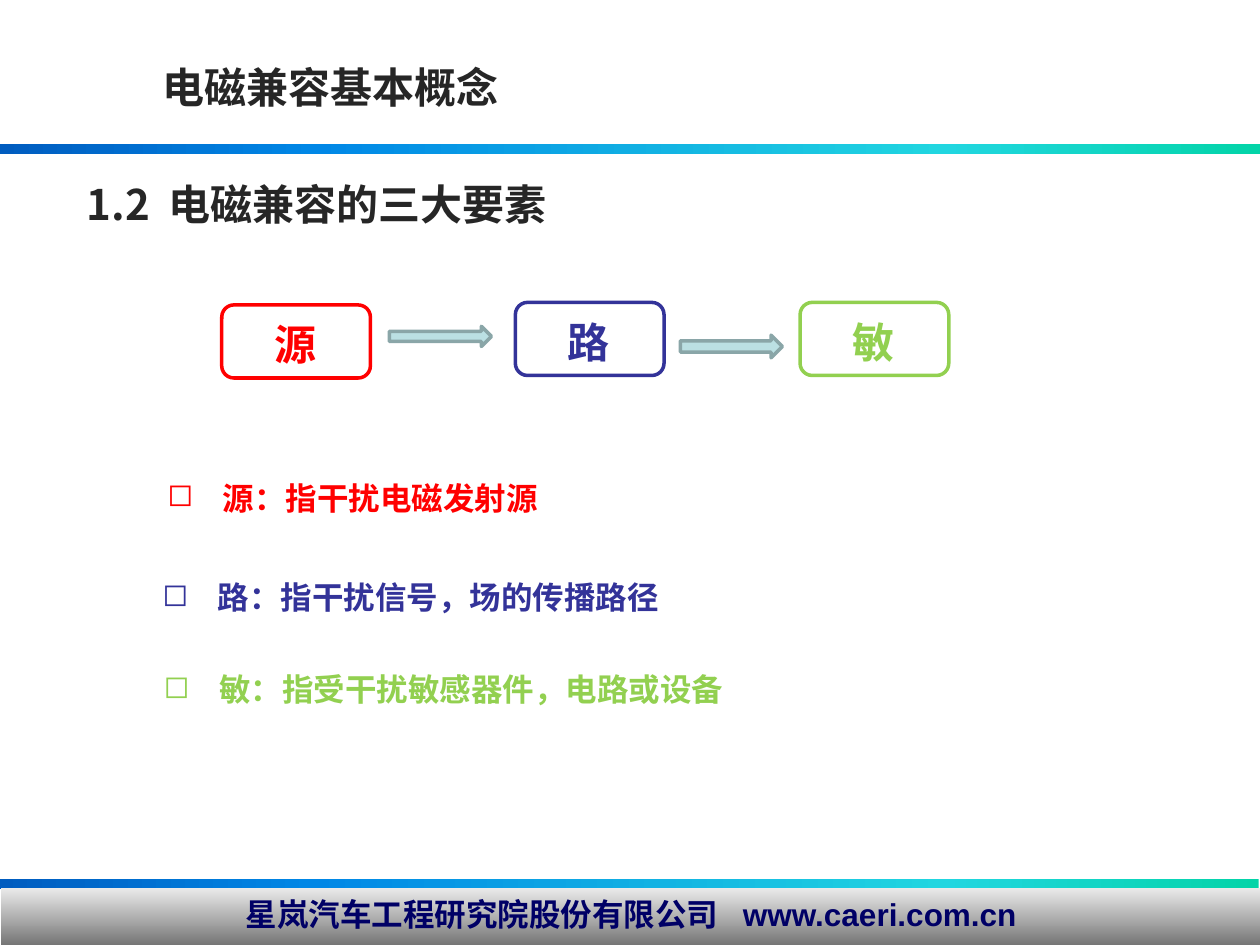
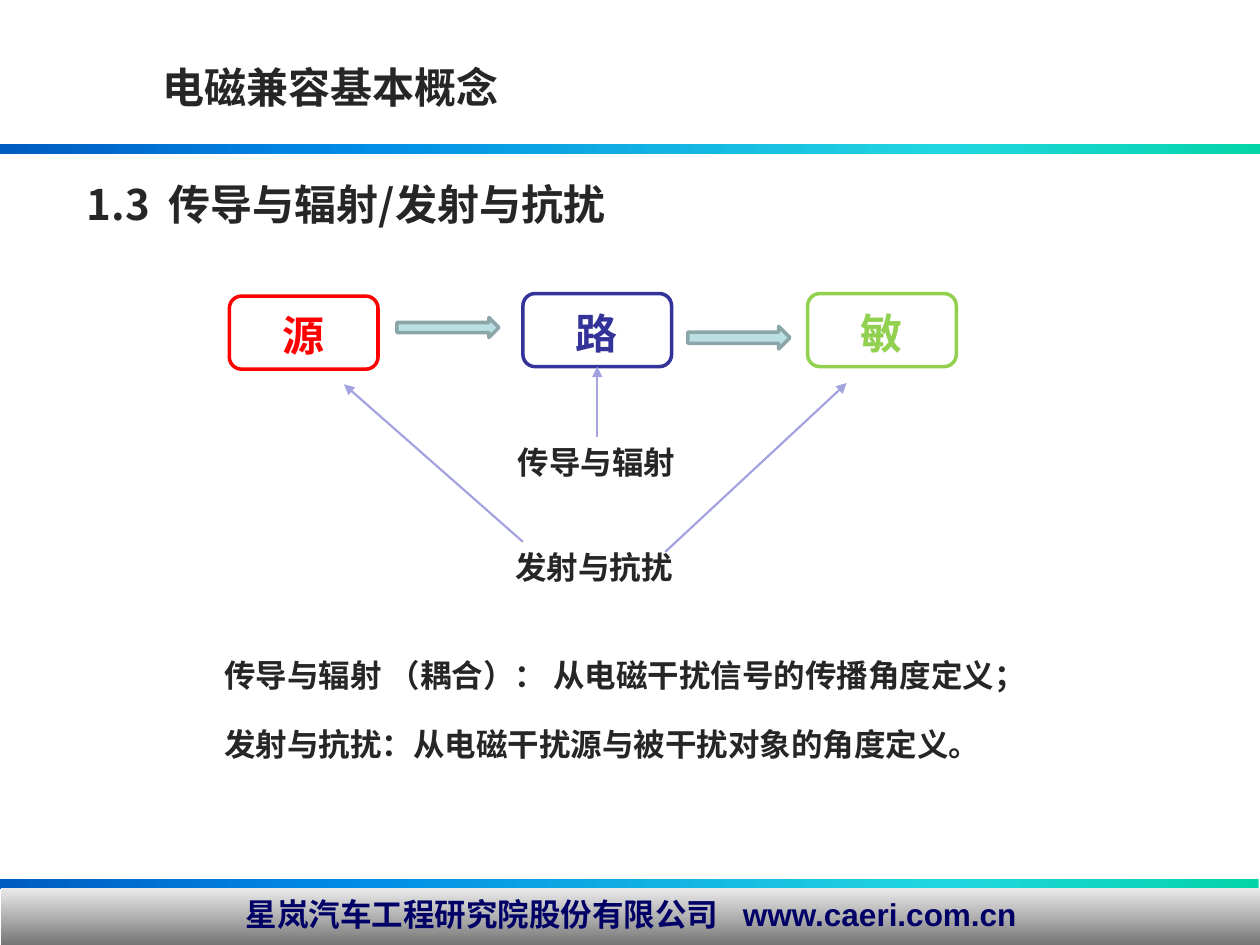
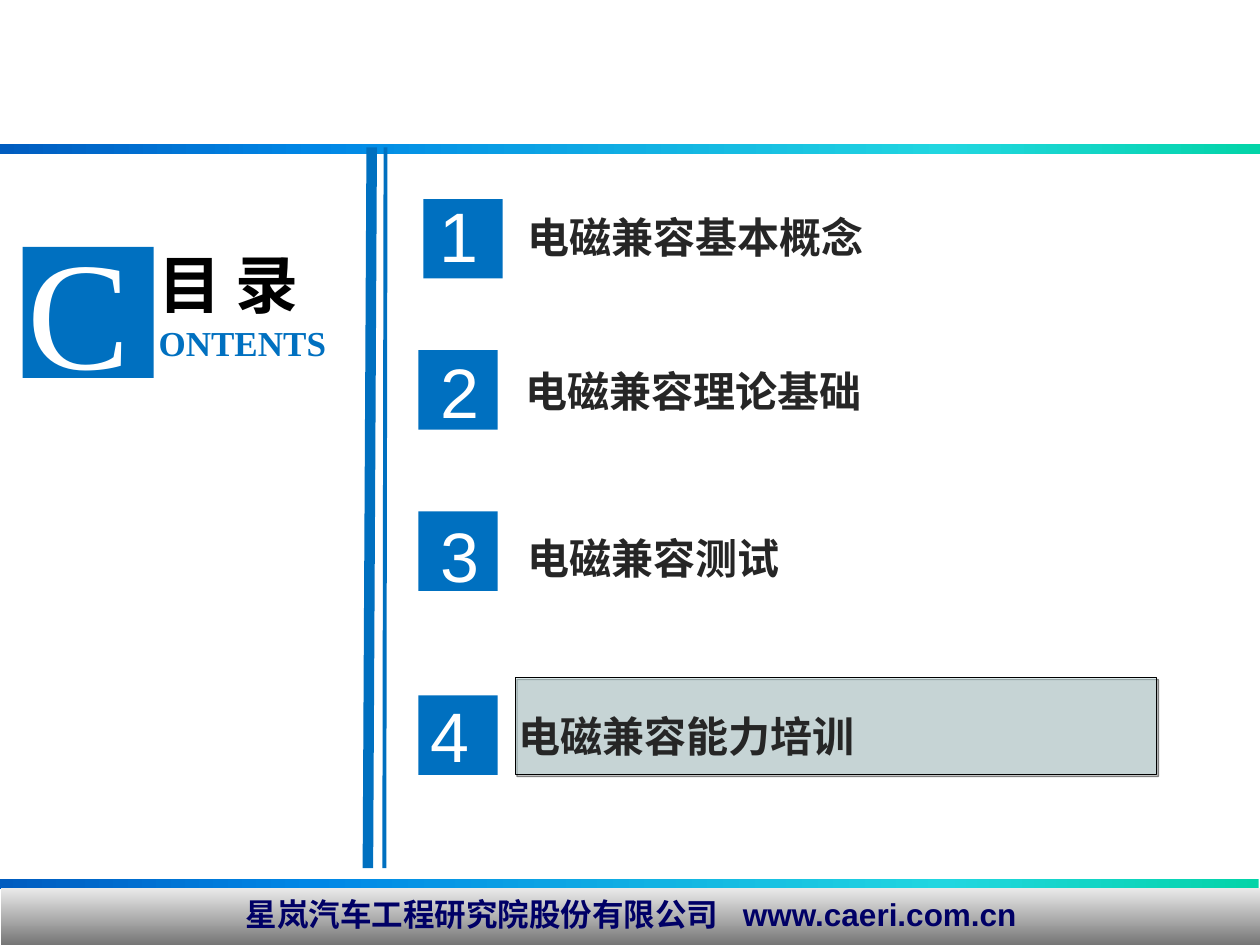
from lxml import etree
from pptx import Presentation
from pptx.dml.color import RGBColor
from pptx.enum.shapes import MSO_CONNECTOR, MSO_SHAPE
from pptx.enum.text import MSO_ANCHOR, MSO_AUTO_SIZE, PP_ALIGN
from pptx.oxml.ns import qn
from pptx.util import Inches, Pt

RECT, ROUND_RECT, ARROW = (MSO_SHAPE.RECTANGLE, MSO_SHAPE.ROUNDED_RECTANGLE,
                           MSO_SHAPE.RIGHT_ARROW)
STRAIGHT = MSO_CONNECTOR.STRAIGHT
TOP_SIDE, BOTTOM_SIDE = 0, 2
CJK, SANS, SERIF = "Noto Sans CJK SC", "Arial", "Times New Roman"
WIDTH, HEIGHT = 10, 7.5

COLORS = {
    "ink": "262626", "black": "000000", "white": "FFFFFF", "navy": "000066",
    "source": "FF0000", "path": "333399", "victim": "92D050",
    "arrow": "BBE0E3", "arrow_edge": "8AA6A8", "pointer": "A3A3E0",
    "blue": "0070C0",
}
BAND_STOPS = [(0, "03D4A8"), (25, "21D6E0"), (75, "0087E6"), (100, "005CBF")]
FOOTER_STOPS = [(0, "EAEAEA"), (100, "6C6C6C")]

# A tuple of pieces is set as one line with a wide gap between the pieces.
FOOTER = ("星岚汽车工程研究院股份有限公司", "www.caeri.com.cn")
CHAPTER = "电磁兼容基本概念"
ELEMENTS_HEADING = ("1.2", "电磁兼容的三大要素")
COUPLING_HEADING = ("1.3", "传导与辐射/发射与抗扰")

# label, colour, offset from the chain's corner
CHAIN_BOXES = [("源", "source", 0, 0.02), ("路", "path", 2.33, 0),
               ("敏", "victim", 4.59, 0)]
# offset from the chain's corner, height
CHAIN_ARROWS = [(1.33, 0.19, 0.16), (3.64, 0.26, 0.18)]

# text, colour, left, top, width
DEFINITIONS = [
    ("源：指干扰电磁发射源", "source", 1.23, 3.75, 3.18),
    ("路：指干扰信号，场的传播路径", "path", 1.19, 4.54, 4.19),
    ("敏：指受干扰敏感器件，电路或设备", "victim", 1.2, 5.27, 4.7),
]
COUPLING, EMISSION = "传导与辐射", "发射与抗扰"
EMISSION_POINTERS = [((4.15, 4.3), (2.73, 3.05)), ((5.28, 4.38), (6.72, 3.04))]
COUPLING_NOTES = ["传导与辐射 （耦合）： 从电磁干扰信号的传播角度定义；",
                  "发射与抗扰：从电磁干扰源与被干扰对象的角度定义。"]

# chapter, its corner, tile corner, corner of the number
CONTENTS = [
    (CHAPTER, (4.09, 1.63), (3.36, 1.58), (3.39, 1.48)),
    ("电磁兼容理论基础", (4.07, 2.85), (3.32, 2.78), (3.4, 2.72)),
    ("电磁兼容测试", (4.09, 4.18), (3.32, 4.06), (3.4, 4.02)),
    ("电磁兼容能力培训", (4.02, 5.59), (3.32, 5.52), (3.32, 5.45)),
]
TILE = 0.63


def rgb(name):
    return RGBColor.from_string(COLORS[name])


def child(parent, tag, **attributes):
    node = etree.SubElement(parent, qn(tag))
    for key, value in attributes.items():
        node.set(key, str(value))
    return node


def write(frame, paragraphs, size=18, color="ink", font=CJK, bold=True, align=None,
          bullet=None, gap=0, before=0):
    """Fill a frame; gap widens the space between pieces, before parts paragraphs."""
    for index, content in enumerate(paragraphs):
        paragraph = frame.paragraphs[0] if index == 0 else frame.add_paragraph()
        paragraph.alignment = align or PP_ALIGN.LEFT
        if index and before:
            paragraph.space_before = Pt(before)
        if bullet:
            properties = paragraph._p.get_or_add_pPr()
            properties.set("marL", str(Inches(0.44)))
            properties.set("indent", str(-Inches(0.44)))
            child(properties, "a:buChar", char=bullet)
        pieces = [content] if isinstance(content, str) else [content[0], " ", content[1]]
        for piece in pieces:
            run = paragraph.add_run()
            run.text = piece
            run.font.size, run.font.bold, run.font.name = Pt(size), bold, font
            run.font.color.rgb = rgb(color)
            properties = run._r.get_or_add_rPr()
            child(properties, "a:ea", typeface=CJK)
            if piece == " ":
                properties.set("spc", str(int(gap * 100)))


def add_text(slide, content, left, top, width, height, wrap=True, **style):
    box = slide.shapes.add_textbox(*map(Inches, (left, top, width, height)))
    box.text_frame.word_wrap = wrap
    box.text_frame.auto_size = MSO_AUTO_SIZE.SHAPE_TO_FIT_TEXT
    write(box.text_frame, content if isinstance(content, list) else [content], **style)
    return box


def add_box(slide, kind, left, top, width, height, fill=None, line=None, weight=2):
    box = slide.shapes.add_shape(kind, *map(Inches, (left, top, width, height)))
    box.shadow.inherit = False
    if fill:
        box.fill.solid()
        box.fill.fore_color.rgb = rgb(fill)
    else:
        box.fill.background()
    if line:
        box.line.color.rgb = rgb(line)
        box.line.width = Pt(weight)
    else:
        box.line.fill.background()
    return box


def add_gradient(slide, stops, angle, *place):
    box = add_box(slide, RECT, *place)
    properties = box._element.spPr
    gradient = etree.Element(qn("a:gradFill"), rotWithShape="1")
    stop_list = child(gradient, "a:gsLst")
    for share, color in stops:
        child(child(stop_list, "a:gs", pos=share * 1000), "a:srgbClr", val=color)
    child(gradient, "a:lin", ang=angle * 60000, scaled=0)
    properties.replace(properties.find(qn("a:noFill")), gradient)
    return box


def add_line(slide, start, end, color, weight, arrow=False):
    line = slide.shapes.add_connector(STRAIGHT, *map(Inches, (*start, *end)))
    line.line.color.rgb = rgb(color)
    line.line.width = Pt(weight)
    if arrow:
        child(line.line._get_or_add_ln(), "a:tailEnd", type="triangle")
    child(line._element.spPr, "a:effectLst")
    return line


def add_slide(deck):
    """Add a blank slide with the shared bands and footer."""
    slide = deck.slides.add_slide(deck.slide_layouts[6])
    for left, top in ((-0.01, 6.98), (0, 1.14)):
        add_gradient(slide, BAND_STOPS, 180, left, top, WIDTH, 0.08)
    footer = add_gradient(slide, FOOTER_STOPS, 90, 0.01, 7.05, WIDTH, 0.49)
    footer.text_frame.vertical_anchor = MSO_ANCHOR.TOP
    write(footer.text_frame, [FOOTER], color="navy", font=SANS,
          align=PP_ALIGN.CENTER, gap=10)
    return slide


def add_topic_slide(deck, heading):
    slide = add_slide(deck)
    add_text(slide, CHAPTER, 1.19, 0.44, 5.62, 0.51, size=24)
    add_text(slide, heading, 0.59, 1.37, 5.62, 0.51, size=24, gap=5.4)
    return slide


def add_chain(slide, left, top):
    """Draw source, path and victim with arrows; return the boxes by label."""
    boxes = {}
    for label, color, dx, dy in CHAIN_BOXES:
        x, y = left + dx, top + dy
        boxes[label] = add_box(slide, ROUND_RECT, x, y, 1.18, 0.58, line=color)
        add_text(slide, label, x + 0.32, y + 0.06, 0.54, 0.5, wrap=False,
                 size=24, color=color)
    for dx, dy, height in CHAIN_ARROWS:
        add_box(slide, ARROW, left + dx, top + dy, 0.81, height, "arrow", "arrow_edge")
    return boxes


def build_elements(deck):
    slide = add_topic_slide(deck, ELEMENTS_HEADING)
    add_chain(slide, 1.76, 2.4)
    for definition, color, left, top, width in DEFINITIONS:
        add_text(slide, definition, left, top, width, 0.4, wrap=False,
                 color=color, bullet="◻")


def build_coupling(deck):
    slide = add_topic_slide(deck, COUPLING_HEADING)
    boxes = add_chain(slide, 1.82, 2.33)
    coupling = add_text(slide, COUPLING, 4.01, 3.47, 1.46, 0.4, wrap=False)
    pointer = add_line(slide, (4.74, 3.47), (4.74, 2.91), "pointer", 1.25, arrow=True)
    pointer.begin_connect(coupling, TOP_SIDE)
    pointer.end_connect(boxes["路"], BOTTOM_SIDE)
    add_text(slide, EMISSION, 3.99, 4.3, 1.46, 0.4, wrap=False)
    for start, end in EMISSION_POINTERS:
        add_line(slide, start, end, "pointer", 1.25, arrow=True)
    add_text(slide, COUPLING_NOTES, 1.68, 5.16, 6.66, 1.01, wrap=False, before=17.4)


def add_highlight(slide, *place):
    box = add_box(slide, RECT, *place, fill="arrow", line="black", weight=0.75)
    properties = box._element.spPr
    child(properties.find(qn("a:solidFill"))[0], "a:alpha", val=39000)
    shadow = child(properties.find(qn("a:effectLst")), "a:outerShdw", blurRad=0,
                   dist=Pt(1.4), dir=45 * 60000, algn="ctr", rotWithShape=0)
    child(child(shadow, "a:srgbClr", val=COLORS["black"]), "a:alpha", val=50000)


def build_contents(deck):
    slide = add_slide(deck)
    add_box(slide, RECT, 0.18, 1.96, 1.04, 1.04, "blue")
    add_text(slide, "C", 0.12, 1.66, 1.29, 1.58, size=88, color="white",
             font=SERIF, bold=False)
    add_text(slide, "ONTENTS", 1.16, 2.5, 1.71, 0.44, size=20, color="blue", font=SERIF)
    add_text(slide, "目 录", 1.16, 1.9, 1.68, 0.7, size=36, color="black")
    for top_x, bottom_x, weight in ((2.95, 2.92, 6), (3.06, 3.05, 2.25)):
        add_line(slide, (top_x, 1.17), (bottom_x, 6.89), "blue", weight)
    add_highlight(slide, 4.09, 5.38, 5.09, 0.77)
    for number, (chapter, corner, tile, digit) in enumerate(CONTENTS, 1):
        add_box(slide, RECT, *tile, TILE, TILE, "blue")
        add_text(slide, str(number), *digit, TILE, 0.77, size=40, color="white",
                 font=SANS, bold=False)
        add_text(slide, chapter, *corner, 4.96, 0.51, size=24)


def main():
    deck = Presentation()
    deck.slide_width, deck.slide_height = Inches(WIDTH), Inches(HEIGHT)
    build_elements(deck)
    build_coupling(deck)
    build_contents(deck)
    deck.save("out.pptx")


if __name__ == "__main__":
    main()
